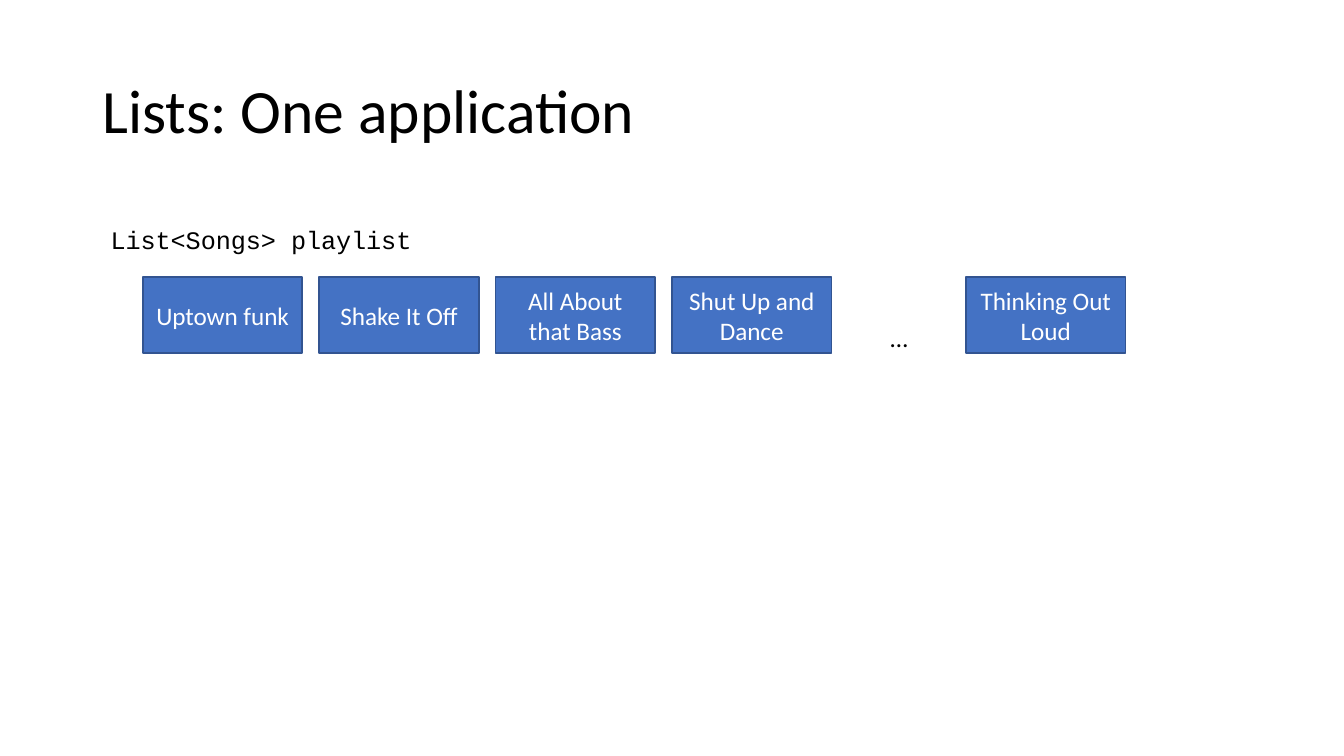
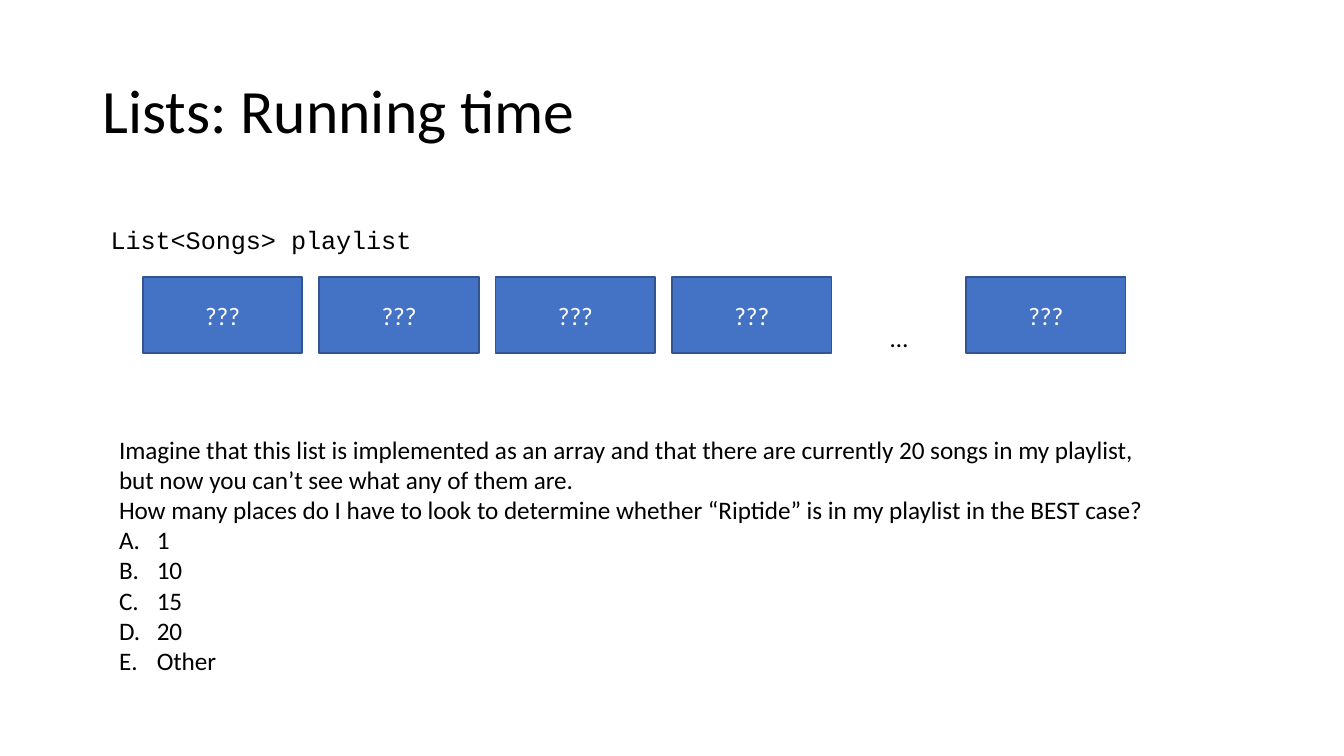
from lxml.etree import SubElement
from pptx import Presentation
from pptx.dml.color import RGBColor
from pptx.enum.shapes import MSO_SHAPE
from pptx.enum.text import MSO_ANCHOR, MSO_AUTO_SIZE, PP_ALIGN
from pptx.oxml.ns import qn
from pptx.util import Pt

PX = 9525  # EMU per px, 96 px to the inch
BLACK, WHITE = "000000", "FFFFFF"
SONG_FILL, SONG_LINE = "4472C4", "325491"
BODY_FONT, CODE_FONT = "Calibri", "Courier New"
BODY_SIZE, TITLE_SIZE = 13.5, 33

SONG_LEFT, SONG_TOP, SONG_WIDTH, SONG_HEIGHT = 102, 198, 114, 54
SONG_PITCH, LAST_SONG_LEFT = 126, 690
ANSWER_INDENT = 27

SONGS = ["Uptown funk", "Shake It Off", "All About that Bass",
         "Shut Up and Dance", "Thinking Out Loud"]
QUESTION = [
    "Imagine that this list is implemented as an array and that there are currently "
    "20 songs in my playlist, but now you can’t see what any of them are.",
    "How many places do I have to look to determine whether “Riptide” is in my "
    "playlist in the BEST case?",
]
ANSWERS = ["1", "10", "15", "20", "Other"]


def px(*lengths):
    return [length * PX for length in lengths]


def color(hex_string):
    return RGBColor.from_string(hex_string)


def set_margins(frame):
    frame.margin_left = frame.margin_right = 7 * PX
    frame.margin_top = frame.margin_bottom = 4 * PX


def format_runs(frame, font_name=BODY_FONT, size=BODY_SIZE, font_color=BLACK):
    for paragraph in frame.paragraphs:
        for span in paragraph.runs:
            span.font.name = font_name
            span.font.size = Pt(size)
            span.font.color.rgb = color(font_color)


def add_titled_page(deck, title_text):
    page = deck.slides.add_slide(deck.slide_layouts[5])
    title = page.shapes.title
    title.left, title.top, title.width, title.height = px(66, 29, 828, 104)
    frame = title.text_frame
    frame.text = title_text
    frame.word_wrap = True
    frame.auto_size = MSO_AUTO_SIZE.NONE
    frame.vertical_anchor = MSO_ANCHOR.MIDDLE
    set_margins(frame)
    frame.paragraphs[0].alignment = PP_ALIGN.LEFT
    frame.paragraphs[0].line_spacing = 0.9
    format_runs(frame, size=TITLE_SIZE)
    return page


def add_text(page, bounds, lines, font_name=BODY_FONT, wrap=False):
    box = page.shapes.add_textbox(*px(*bounds))
    frame = box.text_frame
    frame.text = "\n".join(lines)
    frame.word_wrap = wrap
    frame.auto_size = MSO_AUTO_SIZE.SHAPE_TO_FIT_TEXT
    set_margins(frame)
    format_runs(frame, font_name)
    return box


def add_song(page, left, name):
    box = page.shapes.add_shape(
        MSO_SHAPE.RECTANGLE, *px(left, SONG_TOP, SONG_WIDTH, SONG_HEIGHT))
    box.shadow.inherit = False
    box.fill.solid()
    box.fill.fore_color.rgb = color(SONG_FILL)
    box.line.color.rgb = color(SONG_LINE)
    box.line.width = Pt(1)
    frame = box.text_frame
    frame.text = name
    frame.word_wrap = True
    frame.vertical_anchor = MSO_ANCHOR.MIDDLE
    set_margins(frame)
    frame.paragraphs[0].alignment = PP_ALIGN.CENTER
    format_runs(frame, font_color=WHITE)


def add_playlist(page, names):
    """Show the first songs in a row, then an ellipsis and the last song."""
    *first_names, last_name = names
    for index, name in enumerate(first_names):
        add_song(page, SONG_LEFT + index * SONG_PITCH, name)
    add_song(page, LAST_SONG_LEFT, last_name)
    add_text(page, (629, 226, 32, 32), ["…"])
    add_text(page, (72, 156, 238, 32), ["List<Songs> playlist"], CODE_FONT)


def letter_paragraph(paragraph):
    """Number the paragraph A., B., C. with a hanging indent."""
    properties = paragraph._p.get_or_add_pPr()
    properties.set("marL", str(ANSWER_INDENT * PX))
    properties.set("indent", str(-ANSWER_INDENT * PX))
    SubElement(properties, qn("a:buFont"), typeface="+mj-lt")
    SubElement(properties, qn("a:buAutoNum"), type="alphaUcPeriod")


def add_question(page):
    box = add_text(page, (78, 306, 762, 184), QUESTION + ANSWERS, wrap=True)
    for paragraph in box.text_frame.paragraphs[len(QUESTION):]:
        letter_paragraph(paragraph)


def main():
    deck = Presentation()
    deck.slide_width, deck.slide_height = px(960, 540)

    application_page = add_titled_page(deck, "Lists: One application")
    add_playlist(application_page, SONGS)

    running_time_page = add_titled_page(deck, "Lists: Running time")
    add_playlist(running_time_page, ["???"] * len(SONGS))
    add_question(running_time_page)

    deck.save("out.pptx")


if __name__ == "__main__":
    main()
